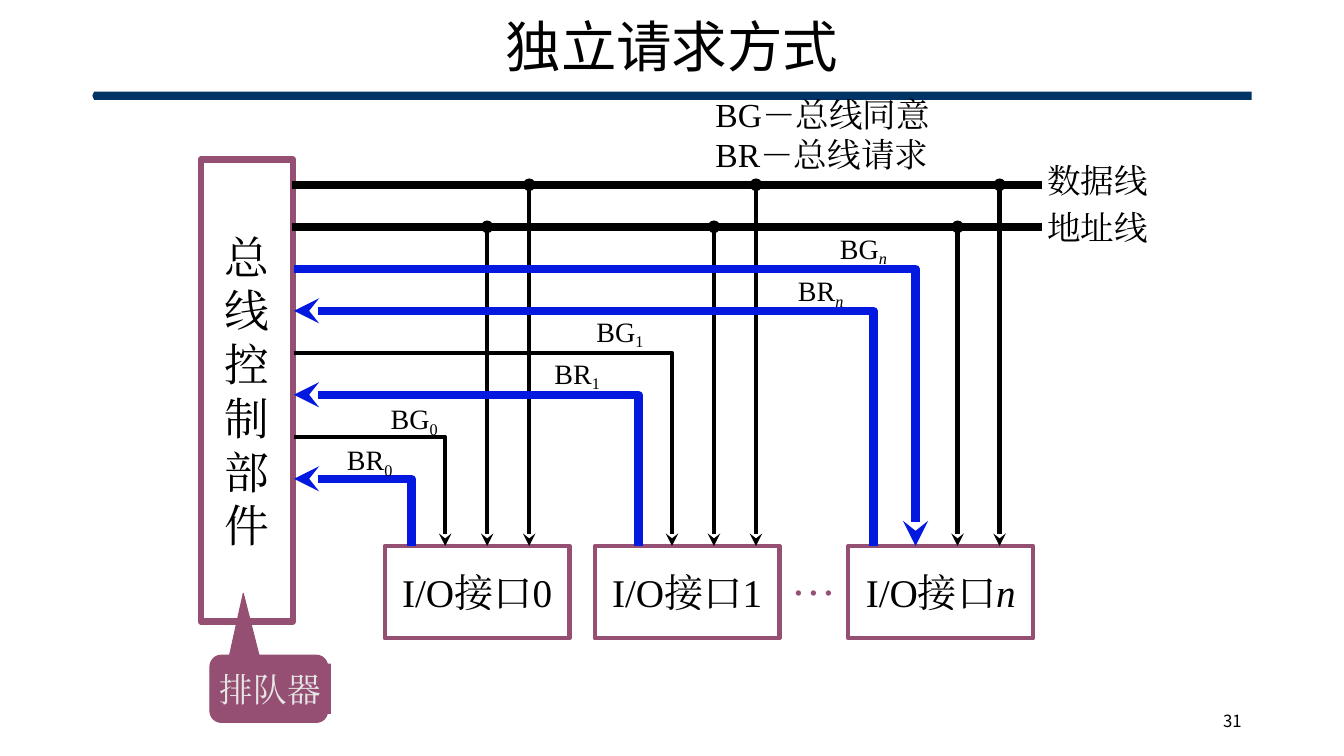
import pptx
import pptx.util
import pptx.dml.color
import pptx.enum.shapes
import pptx.enum.text
import pptx.oxml
import pptx.oxml.ns

PX = 7620  # EMU: 120 px to the inch
COLORS = {"ink": "000000", "plum": "954F72", "blue": "0419E0",
          "navy": "003366", "pale": "E7E6E6"}
SERIF, SANS = "Times New Roman", "Noto Sans CJK SC"

TITLE = "独立请求方式"
PAGE_NUMBER = "31"
CONTROLLER = "总线控制部件"
QUEUE = "排队器"
LEGEND = ["BG－总线同意", "BR－总线请求"]
# bus name, label top
BUSES = [("数据线", 185), ("地址线", 240)]
# index, box left, BR x, BG x, address x, BR label, BG label, BG colour and width
INTERFACES = [
    ("0", 458, 490, 530, 580, (413, 527), (465, 478), ("ink", 3)),
    ("1", 708, 760, 800, 850, (660, 424), (710, 374), ("ink", 3)),
    ("n", 1010, 1040, 1090, 1140, (950, 326), (1000, 275), ("blue", 6)),
]

BUS_LEFT, BUS_RIGHT, SIGNAL_LEFT = 348, 1240, 350
FIRST_ROW, ROW_GAP, BOX_TOP = 220, 50, 650
DATA_OFFSET = 50

SHAPES = pptx.enum.shapes.MSO_SHAPE
ALIGN = pptx.enum.text.PP_ALIGN
ANCHOR = pptx.enum.text.MSO_ANCHOR

deck = pptx.Presentation()
deck.slide_width, deck.slide_height = 1600 * PX, 900 * PX
slide = deck.slides.add_slide(deck.slide_layouts[6])


def emu(*lengths):
    return [length * PX for length in lengths]


def rgb(color):
    return pptx.dml.color.RGBColor.from_string(COLORS[color])


def add_xml(parent, tag, **attributes):
    child = pptx.oxml.parse_xml(f"<a:{tag} {pptx.oxml.ns.nsdecls('a')}/>")
    for key, value in attributes.items():
        child.set(key, value)
    parent.append(child)


def write(shape, paragraphs, size, color="ink", font=SERIF, align=ALIGN.LEFT,
          spacing=None, **frame_format):
    """Fill a shape with paragraphs, each a list of (text, run format)."""
    frame = shape.text_frame
    settings = {"word_wrap": False, "vertical_anchor": ANCHOR.TOP} | frame_format
    for key, value in settings.items():
        setattr(frame, key, value)
    for number, runs in enumerate(paragraphs):
        paragraph = frame.add_paragraph() if number else frame.paragraphs[0]
        paragraph.alignment = align
        paragraph.line_spacing = spacing
        for text, run_format in runs:
            run = paragraph.add_run()
            run.text = text
            run.font.size = pptx.util.Pt(size)
            run.font.name = font
            run.font.color.rgb = rgb(color)
            properties = run.font._element
            add_xml(properties, "ea", typeface=font)
            for key, value in run_format.items():
                if key == "baseline":
                    properties.set(key, value)
                else:
                    setattr(run.font, key, value)


def add_text(place, *paragraphs, **text_format):
    write(slide.shapes.add_textbox(*emu(*place)), paragraphs, **text_format)


def add_block(kind, place, fill=None, line=None, width=1):
    block = slide.shapes.add_shape(kind, *emu(*place))
    block.shadow.inherit = False
    if fill:
        block.fill.solid()
        block.fill.fore_color.rgb = rgb(fill)
    else:
        block.fill.background()
    if line:
        block.line.color.rgb = rgb(line)
        block.line.width = pptx.util.Pt(width)
    else:
        block.line.fill.background()
    return block


def style_line(wire, color, width, head="none", tail="none"):
    wire.line.color.rgb = rgb(color)
    wire.line.width = pptx.util.Pt(width)
    properties = wire.element.spPr
    outline = properties.find(pptx.oxml.ns.qn("a:ln"))
    add_xml(outline, "round")
    add_xml(outline, "headEnd", type=head)
    add_xml(outline, "tailEnd", type=tail)
    add_xml(properties, "effectLst")


def add_wire(start, end, width, **ends):
    wire = slide.shapes.add_connector(
        pptx.enum.shapes.MSO_CONNECTOR.STRAIGHT, *emu(*start, *end))
    style_line(wire, "ink", width, **ends)


def add_signal(x, y, color, width, **ends):
    """Bent line from the controller at height y down to an interface at x."""
    builder = slide.shapes.build_freeform(SIGNAL_LEFT, y, scale=PX)
    builder.add_line_segments([(x, y), (x, BOX_TOP)], close=False)
    signal = builder.convert_to_shape()
    signal.fill.background()
    style_line(signal, color, width, **ends)


def add_signal_label(name, index, corner):
    index_format = {"baseline": "-20000", "italic": index == "n"}
    add_text((*corner, 110, 40), [(name, {}), (index, index_format)], size=20,
             word_wrap=True, margin_left=0, margin_right=0,
             margin_top=0, margin_bottom=0)


rule = add_block(SHAPES.PENTAGON, (110, 109, 1380, 10), fill="navy")
rule.adjustments[0] = 0.2
rule.rotation = 180
add_text((110, 20, 1380, 79), [(TITLE, {})], size=39.6, font=SANS, spacing=0.9,
         align=ALIGN.CENTER, vertical_anchor=ANCHOR.MIDDLE, word_wrap=True)

controller = add_block(SHAPES.RECTANGLE, (239, 190, 110, 550), line="plum", width=4.5)
write(controller, [[(character, {})] for character in CONTROLLER], size=32,
      align=ALIGN.CENTER, vertical_anchor=ANCHOR.MIDDLE)

callout = add_block(SHAPES.ROUNDED_RECTANGULAR_CALLOUT, (250, 780, 140, 80),
                    fill="plum", line="plum", width=0.75)
for position, value in enumerate((-0.217, -1.422, 0.167)):
    callout.adjustments[position] = value
queue = add_block(SHAPES.RECTANGLE, (250, 790, 144, 60), fill="plum")
write(queue, [[(QUEUE, {})]], size=24, color="pale")

data_y, address_y = FIRST_ROW, FIRST_ROW + ROW_GAP
for (bus, label_top), y in zip(BUSES, (data_y, address_y)):
    add_wire((BUS_LEFT, y), (BUS_RIGHT, y), 6)
    add_text((1235, label_top, 145, 60), [(bus, {})], size=24)

for order, (index, left, br_x, bg_x, address_x, br_label, bg_label,
            bg_line) in enumerate(INTERFACES):
    interface = add_block(SHAPES.RECTANGLE, (left, BOX_TOP, 220, 110),
                          line="plum", width=3)
    write(interface, [[("I/O接口", {}), (index, {"italic": index == "n"})]],
          size=28, align=ALIGN.CENTER, vertical_anchor=ANCHOR.MIDDLE)
    br_y = FIRST_ROW + ROW_GAP * (7 - 2 * order)
    add_signal(br_x, br_y, "blue", 6, head="stealth")
    add_signal(bg_x, br_y - ROW_GAP, *bg_line, tail="stealth")
    add_signal_label("BR", index, br_label)
    add_signal_label("BG", index, bg_label)
    for x, y in ((address_x, address_y), (address_x + DATA_OFFSET, data_y)):
        add_wire((x, y), (x, BOX_TOP), 3, head="oval", tail="stealth")

add_text((930, 650, 78, 76), [("…", {})], size=32, color="plum")
add_text((840, 106, 310, 109), *[[(line, {})] for line in LEGEND], size=24,
         word_wrap=True)
add_text((1130, 834, 360, 48), [(PAGE_NUMBER, {})], size=12, font=SANS,
         align=ALIGN.RIGHT, vertical_anchor=ANCHOR.MIDDLE, word_wrap=True)

deck.save("out.pptx")
